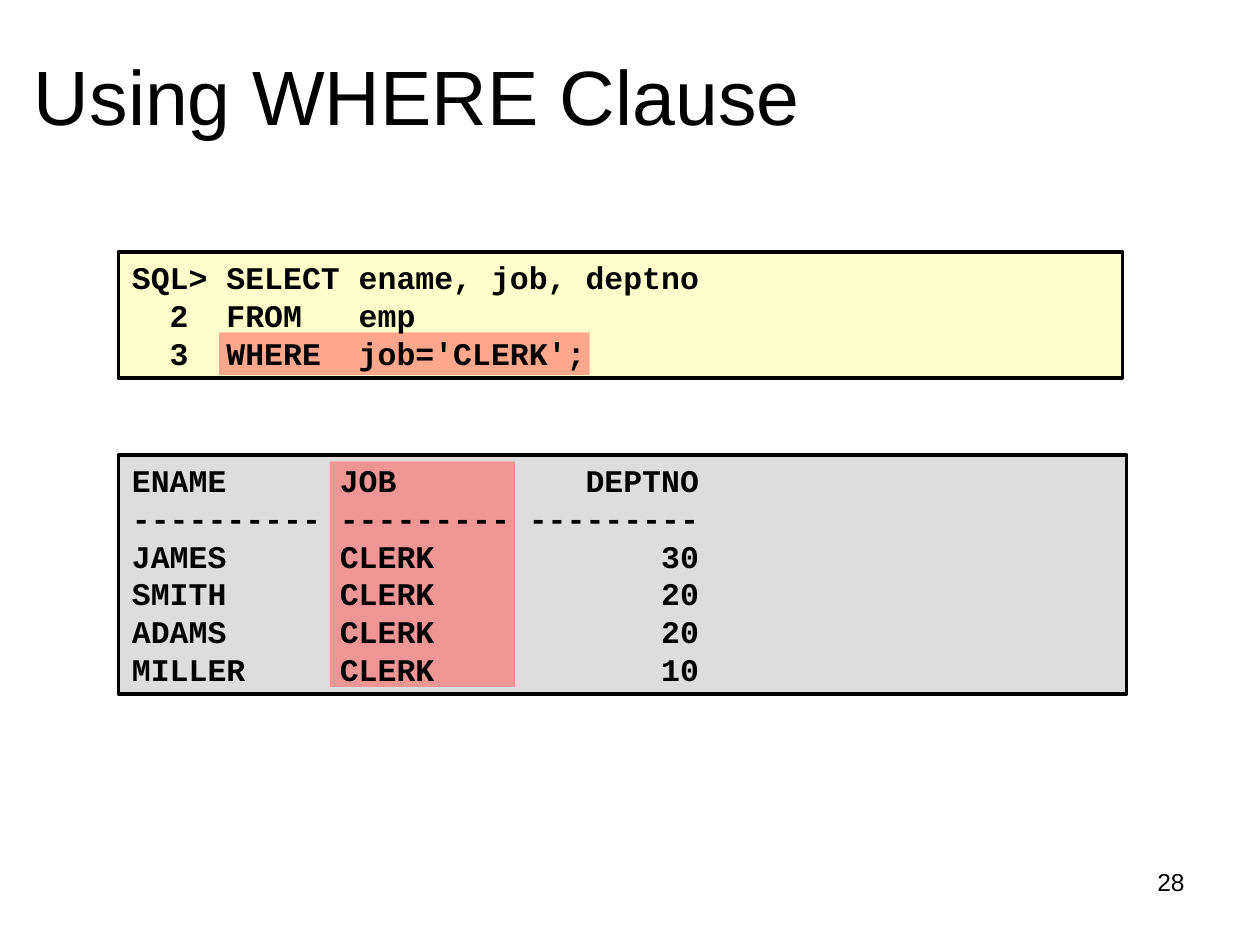
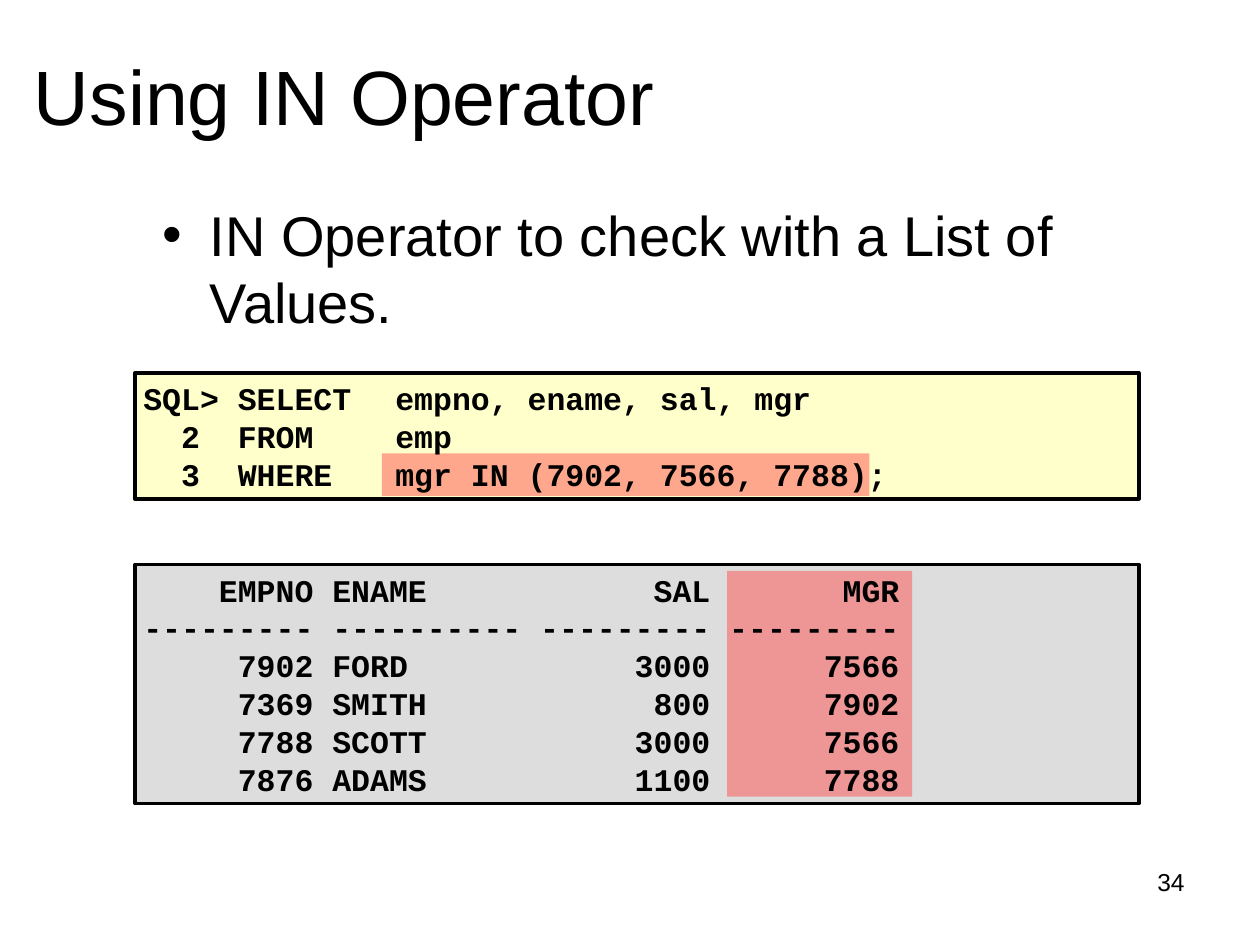
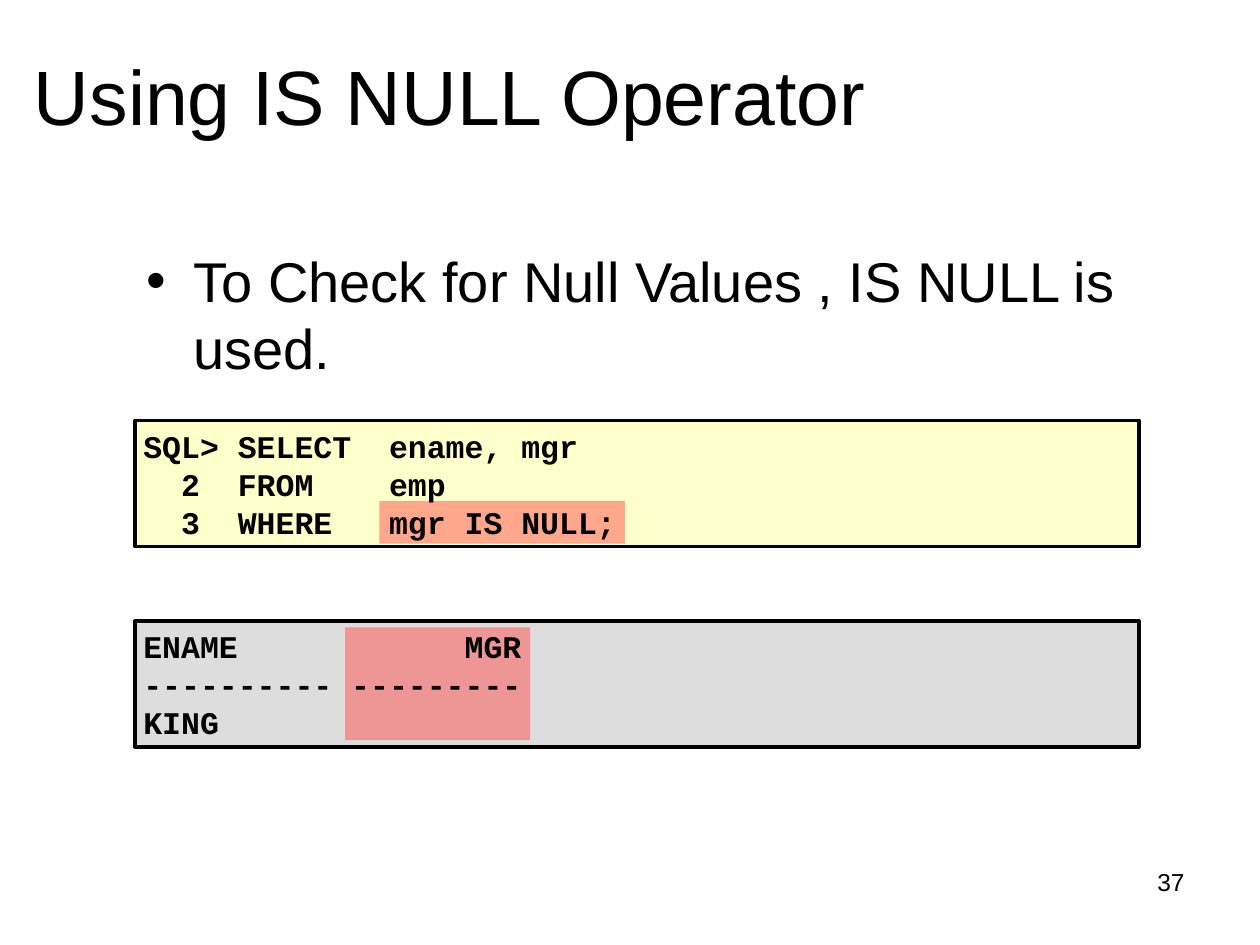
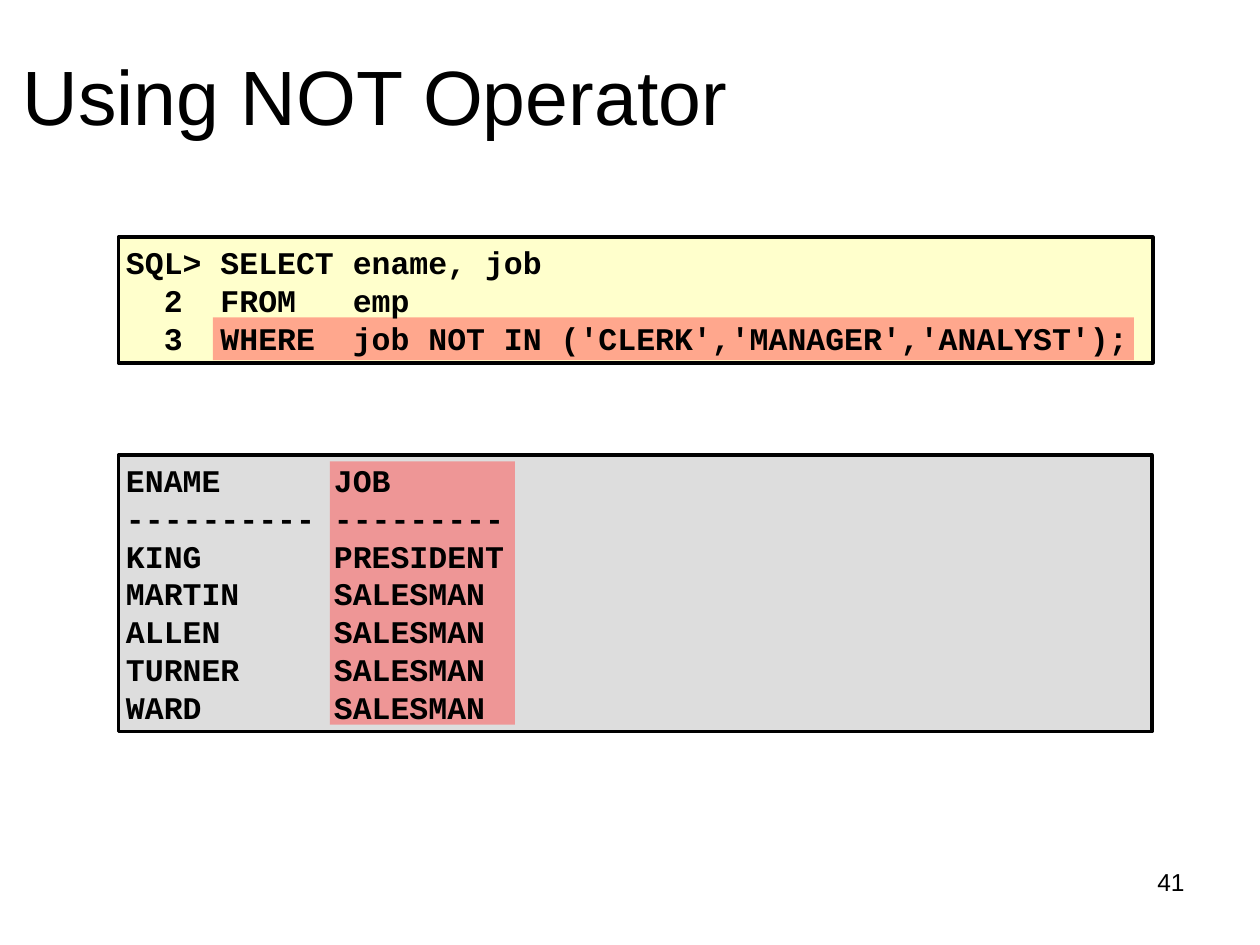
import pptx
import pptx.util
import pptx.dml.color
import pptx.enum.shapes
import pptx.enum.text
import pptx.oxml.ns
from lxml import etree

Cm = pptx.util.Cm
Pt = pptx.util.Pt
qn = pptx.oxml.ns.qn
ANCHOR = pptx.enum.text.MSO_ANCHOR
ALIGN = pptx.enum.text.PP_ALIGN

# Shared look
BLACK, CREAM, GREY, RED = "000000", "FFFFCC", "DDDDDD", "FF5050"
SANS, MONO = "Arial", "Courier New"
STEP, PAD = 0.76, 0.26  # height of a code line, and what a band adds to its lines

# Lengths in cm; each band is (top, width), each mark is (left, width)
SLIDES = [
    {
        "title": "Using WHERE Clause", "num": "28", "left": 0.43,
        "band": 2.39, "text": 2.41,
        "query": (5.08, 20.24), "clause": (4.42, 7.47),
        "code": ["SQL> SELECT ename, job, deptno",
                 "  2  FROM   emp",
                 "  3  WHERE  job='CLERK';"],
        "result": (9.17, 20.32), "column": (6.65, 3.73),
        "rows": ["ENAME      JOB          DEPTNO",
                 "---------- --------- ---------",
                 "JAMES      CLERK            30",
                 "SMITH      CLERK            20",
                 "ADAMS      CLERK            20",
                 "MILLER     CLERK            10"],
    },
    {
        "title": "Using IN Operator", "num": "34", "left": 0.43,
        "point": (2.79, 3.91, "IN Operator to check with a List of Values."),
        "band": 2.72, "text": 2.64,
        "query": (7.52, 20.24), "clause": (7.7, 9.83),
        "code": ["SQL> SELECT\tempno, ename, sal, mgr",
                 "  2  FROM \temp",
                 "  3  WHERE\tmgr IN (7902, 7566, 7788);"],
        "result": (11.38, 20.24), "column": (14.66, 3.73),
        "rows": ["    EMPNO ENAME            SAL       MGR",
                 "--------- ---------- --------- ---------",
                 "     7902 FORD            3000      7566",
                 "     7369 SMITH            800      7902",
                 "     7788 SCOTT           3000      7566",
                 "     7876 ADAMS           1100      7788"],
    },
    {
        "title": "Using IS NULL Operator", "num": "37", "left": 0.43,
        "point": (2.46, 4.85, "To Check for Null Values , IS NULL is used."),
        "band": 2.72, "text": 2.64,
        "query": (8.48, 20.24), "clause": (7.65, 4.95),
        "code": ["SQL> SELECT  ename, mgr",
                 "  2  FROM    emp",
                 "  3  WHERE   mgr IS NULL;"],
        "result": (12.52, 20.24), "column": (6.96, 3.73),
        "rows": ["ENAME            MGR",
                 "---------- ---------",
                 "KING"],
    },
    {
        "title": "Using NOT Operator", "num": "41", "left": 0.2,
        "band": 2.39, "text": 2.29,
        "query": (4.78, 20.85), "clause": (4.29, 18.57),
        "code": ["SQL> SELECT ename, job",
                 "  2  FROM   emp",
                 "  3  WHERE  job NOT IN ('CLERK','MANAGER','ANALYST');"],
        "result": (9.17, 20.83), "column": (6.65, 3.73),
        "rows": ["ENAME      JOB",
                 "---------- ---------",
                 "KING       PRESIDENT",
                 "MARTIN     SALESMAN",
                 "ALLEN      SALESMAN",
                 "TURNER     SALESMAN",
                 "WARD       SALESMAN"],
    },
]


def paint(target, color):
    """Give a fill, or the fill of a line or font, a solid colour."""
    target.solid()
    target.fore_color.rgb = pptx.dml.color.RGBColor.from_string(color)


def write(frame, lines, size, font, bold=False, align=ALIGN.LEFT):
    """Write one paragraph per line and return the paragraphs."""
    for i, line in enumerate(lines):
        para = frame.paragraphs[0] if i == 0 else frame.add_paragraph()
        para.alignment = align
        run = para.add_run()
        run.text = line
        run.font.size, run.font.name, run.font.bold = Pt(size), font, bold
        paint(run.font.fill, BLACK)
    return frame.paragraphs


deck = pptx.Presentation()
deck.slide_width, deck.slide_height = Cm(25.4), Cm(19.05)

for data in SLIDES:
    slide = deck.slides.add_slide(deck.slide_layouts[5])
    shapes = slide.shapes

    # Title
    title = shapes.title
    title.left, title.top = Cm(data["left"]), Cm(0.85)
    title.width, title.height = Cm(21.59), Cm(3.18)
    frame = title.text_frame
    frame.auto_size = pptx.enum.text.MSO_AUTO_SIZE.NONE
    frame.vertical_anchor = ANCHOR.TOP
    write(frame, [data["title"]], 44, SANS)

    # Page number
    foot = shapes.add_textbox(Cm(18.2), Cm(17.35), Cm(5.93), Cm(1.32))
    foot.text_frame.word_wrap = True
    write(foot.text_frame, [data["num"]], 14, SANS, align=ALIGN.RIGHT)

    # Bullet point
    if "point" in data:
        left, top, words = data["point"]
        body = shapes.add_textbox(Cm(left), Cm(top), Cm(20.52), Cm(2.97))
        body.text_frame.word_wrap = True
        para = write(body.text_frame, [words], 32, SANS)[0]
        props = para._p.get_or_add_pPr()
        props.set("marL", str(Cm(1.19)))
        props.set("indent", str(Cm(-0.95)))
        etree.SubElement(props, qn("a:buFont"), typeface=SANS)
        etree.SubElement(props, qn("a:buChar"), char="•")

    # Query and result: band, red mark, then text
    for part, key, hue, mark in (("query", "code", CREAM, "clause"),
                                 ("result", "rows", GREY, "column")):
        top, width = data[part]
        lines = data[key]
        high = STEP * len(lines) + PAD
        left, span = data[mark]
        if mark == "clause":
            spot = (left, top + 1.62, span, 0.86)
        else:
            spot = (left, top + 0.13, span, high - 0.27)

        for box, color in (((data["band"], top, width, high), hue), (spot, RED)):
            rect = shapes.add_shape(pptx.enum.shapes.MSO_SHAPE.RECTANGLE,
                                    *[Cm(n) for n in box])
            rect.shadow.inherit = False
            paint(rect.fill, color)
            if color == RED:
                rect.line.fill.background()
                tint = rect._element.spPr.find(".//" + qn("a:srgbClr"))
                etree.SubElement(tint, qn("a:alpha"), val="50000")
            else:
                paint(rect.line.fill, BLACK)
                rect.line.width = Pt(2)

        text = shapes.add_textbox(Cm(data["text"]), Cm(top - 0.04),
                                  Cm(width + 0.08), Cm(high + 0.08))
        frame = text.text_frame
        frame.word_wrap = False
        frame.vertical_anchor = ANCHOR.MIDDLE
        for para in write(frame, lines, 18, MONO, bold=True):
            tabs = etree.SubElement(para._p.get_or_add_pPr(), qn("a:tabLst"))
            for stop in (3.33, 5.08):
                etree.SubElement(tabs, qn("a:tab"), pos=str(Cm(stop)), algn="l")

deck.save("out.pptx")
